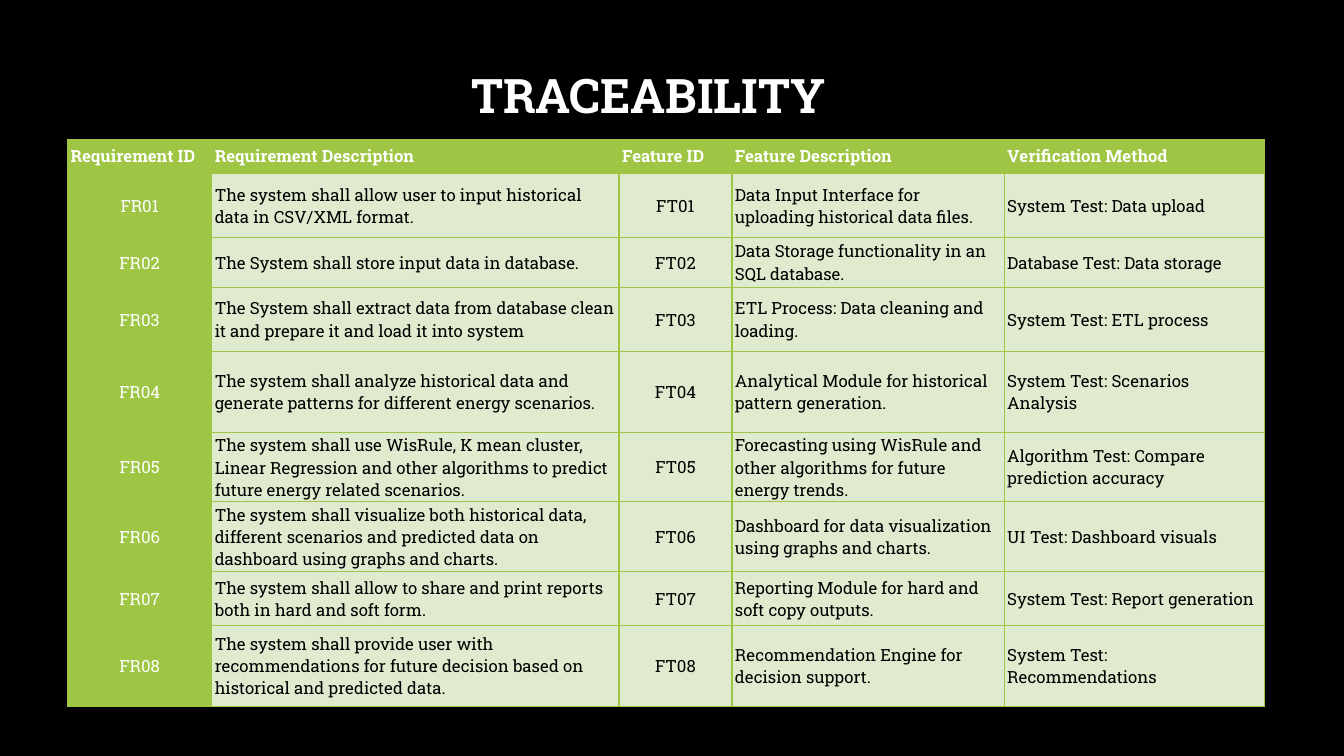
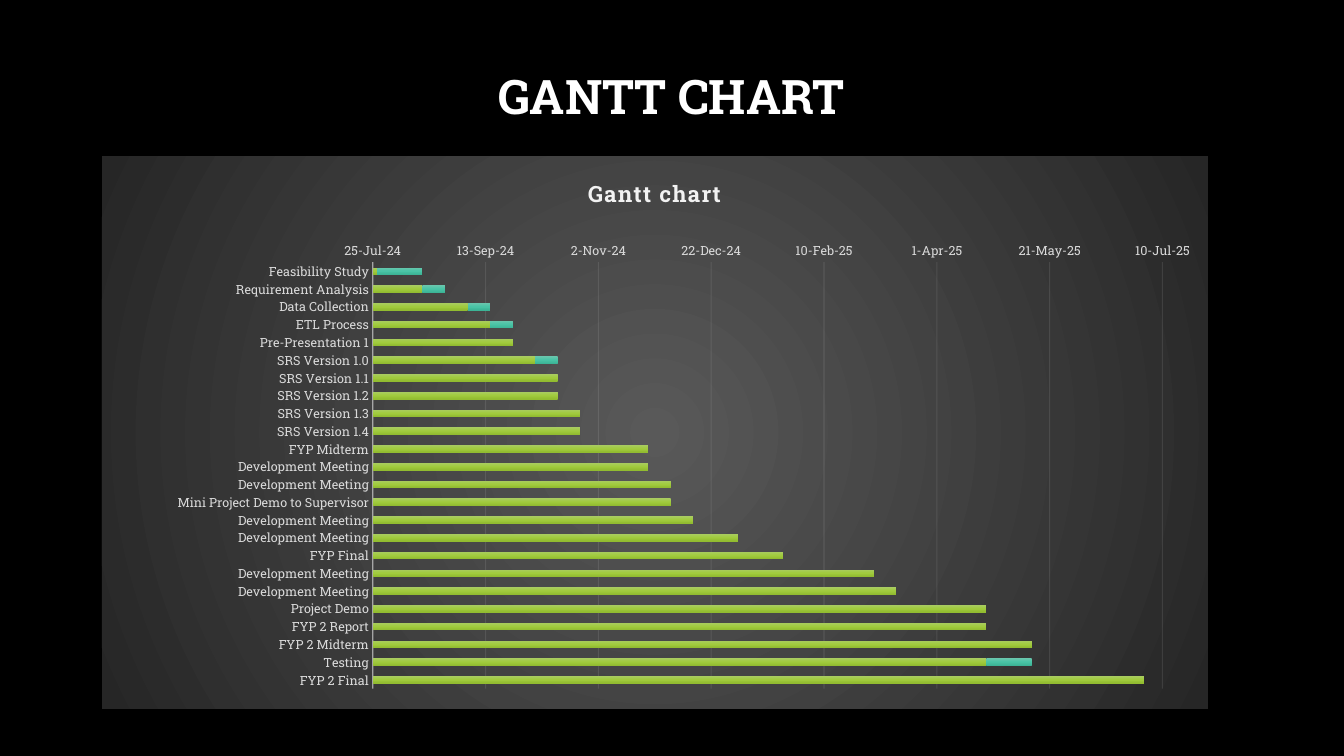
from dataclasses import dataclass

from pptx import Presentation
from pptx.chart.data import CategoryChartData
from pptx.dml.color import RGBColor
from pptx.enum.chart import XL_CHART_TYPE, XL_TICK_MARK
from pptx.enum.text import MSO_ANCHOR, PP_ALIGN
from pptx.oxml import parse_xml
from pptx.oxml.ns import nsdecls, qn
from pptx.util import Inches, Pt

BAR_STACKED = XL_CHART_TYPE.BAR_STACKED
NO_TICK = XL_TICK_MARK.NONE
MIDDLE = MSO_ANCHOR.MIDDLE
LEFT, CENTER = PP_ALIGN.LEFT, PP_ALIGN.CENTER


@dataclass(frozen=True)
class Theme:
    """Colours, font and type sizes shared by the slides."""

    font: str = "Roboto Slab"
    background: str = "000000"
    light: str = "FFFFFF"
    dark: str = "000000"
    accent: str = "9EC544"
    pale: str = "DFEACF"
    axis_text: str = "D9D9D9"
    axis_line: str = "F2F2F2"
    panel: tuple = ((0, "595959"), (100, "262626"))
    start_bar: tuple = ((0, "A9CC61"), (50, "A1CB3E"), (100, "92BC30"))
    duration_bar: tuple = ((0, "69C6AD"), (50, "4AC4A6"), (100, "3CB496"))
    title_size: int = 34
    table_size: int = 12
    chart_title_size: int = 16
    chart_size: int = 10
    axis_size: int = 9


THEME = Theme()

COLUMN_WIDTHS = (1.43, 4.04, 1.12, 2.7, 2.58)
ROW_HEIGHTS = (0.34, 0.64, 0.49, 0.64, 0.8, 0.69, 0.69, 0.54, 0.8)
CENTERED_COLUMNS = (0, 2)
HEADINGS = ("Requirement ID", "Requirement Description", "Feature ID",
            "Feature Description", "Verification Method")
REQUIREMENTS = (
    ("The system shall allow user to input historical data in CSV/XML format.",
     "Data Input Interface for uploading historical data files.",
     "System Test: Data upload"),
    ("The System shall store input data in database.",
     "Data Storage functionality in an SQL database.",
     "Database Test: Data storage"),
    ("The System shall extract data from database clean it and prepare it "
     "and load it into system",
     "ETL Process: Data cleaning and loading.",
     "System Test: ETL process"),
    ("The system shall analyze historical data and generate patterns for "
     "different energy scenarios.",
     "Analytical Module for historical pattern generation.",
     "System Test: Scenarios Analysis"),
    ("The system shall use WisRule, K mean cluster, Linear Regression and "
     "other algorithms to predict future energy related scenarios.",
     "Forecasting using WisRule and other algorithms for future energy trends.",
     "Algorithm Test: Compare prediction accuracy"),
    ("The system shall visualize both historical data, different scenarios "
     "and predicted data on dashboard using graphs and charts.",
     "Dashboard for data visualization using graphs and charts.",
     "UI Test: Dashboard visuals"),
    ("The system shall allow to share and print reports both in hard and "
     "soft form.",
     "Reporting Module for hard and soft copy outputs.",
     "System Test: Report generation"),
    ("The system shall provide user with recommendations for future decision "
     "based on historical and predicted data.",
     "Recommendation Engine for decision support.",
     "System Test: Recommendations"),
)

FIRST_DAY, LAST_DAY, DAY_STEP = 45498, 45848, 50
TASKS = (
    ("Feasibility Study", 45500, 20),
    ("Requirement Analysis", 45520, 10),
    ("Data Collection", 45540, 10),
    ("ETL Process", 45550, 10),
    ("Pre-Presentation 1", 45560, 0),
    ("SRS Version 1.0", 45570, 10),
    ("SRS Version 1.1", 45580, 0),
    ("SRS Version 1.2", 45580, 0),
    ("SRS Version 1.3", 45590, 0),
    ("SRS Version 1.4", 45590, 0),
    ("FYP Midterm", 45620, 0),
    ("Development Meeting", 45620, 0),
    ("Development Meeting", 45630, 0),
    ("Mini Project Demo to Supervisor", 45630, 0),
    ("Development Meeting", 45640, 0),
    ("Development Meeting", 45660, 0),
    ("FYP Final", 45680, 0),
    ("Development Meeting", 45720, 0),
    ("Development Meeting", 45730, 0),
    ("Project Demo", 45770, 0),
    ("FYP 2 Report", 45770, 0),
    ("FYP 2 Midterm", 45790, 0),
    ("Testing", 45770, 20),
    ("FYP 2 Final", 45840, 0),
)


def apply_format(target, **values):
    """Set each named attribute on the target."""
    for name, value in values.items():
        setattr(target, name, value)


def style_font(font, size, color, bold=False):
    """Give a font the theme typeface, a size, a colour and a weight."""
    apply_format(font, name=THEME.font, size=Pt(size), bold=bold)
    font.color.rgb = RGBColor.from_string(color)


def add_slide(deck, heading, left, top):
    """Add a dark slide with its centred heading."""
    slide = deck.slides.add_slide(deck.slide_layouts[6])
    slide.background.fill.solid()
    slide.background.fill.fore_color.rgb = RGBColor.from_string(THEME.background)
    frame = slide.shapes.add_textbox(
        Inches(left), Inches(top), Inches(11.32), Inches(1.45)).text_frame
    apply_format(frame, word_wrap=True, vertical_anchor=MIDDLE)
    paragraph = frame.paragraphs[0]
    apply_format(paragraph, text=heading, alignment=CENTER, line_spacing=0.9)
    style_font(paragraph.runs[0].font, THEME.title_size, THEME.light, True)
    return slide


def add_borders(cell):
    """Draw accent lines on the four sides of a cell."""
    properties = cell._tc.get_or_add_tcPr()
    for index, side in enumerate(("lnL", "lnR", "lnT", "lnB")):
        properties.insert(index, parse_xml(
            f'<a:{side} {nsdecls("a")} w="12700"><a:solidFill>'
            f'<a:srgbClr val="{THEME.accent}"/></a:solidFill></a:{side}>'))


def fill_cell(cell, text, fill, color, bold, alignment):
    """Write and format one table cell."""
    apply_format(cell, text=text, vertical_anchor=MIDDLE,
                 margin_left=Inches(0.03), margin_right=Inches(0.03),
                 margin_top=Inches(0.02), margin_bottom=Inches(0.02))
    cell.fill.solid()
    cell.fill.fore_color.rgb = RGBColor.from_string(fill)
    paragraph = cell.text_frame.paragraphs[0]
    paragraph.alignment = alignment
    style_font(paragraph.runs[0].font, THEME.table_size, color, bold)
    add_borders(cell)


def add_traceability_table(slide):
    """Add the table that links requirements to features."""
    rows = [HEADINGS] + [
        (f"FR{number:02}", requirement, f"FT{number:02}", feature, test)
        for number, (requirement, feature, test) in enumerate(REQUIREMENTS, 1)]
    table = slide.shapes.add_table(
        len(rows), len(HEADINGS), Inches(0.67), Inches(1.38),
        Inches(sum(COLUMN_WIDTHS)), Inches(sum(ROW_HEIGHTS))).table
    apply_format(table, first_row=False, horz_banding=False)
    for column, width in zip(table.columns, COLUMN_WIDTHS):
        column.width = Inches(width)
    for row, height in zip(table.rows, ROW_HEIGHTS):
        row.height = Inches(height)
    for r, texts in enumerate(rows):
        for c, text in enumerate(texts):
            is_heading = r == 0
            on_accent = is_heading or c == 0
            centered = c in CENTERED_COLUMNS and not is_heading
            fill_cell(table.cell(r, c), text,
                      THEME.accent if on_accent else THEME.pale,
                      THEME.light if on_accent else THEME.dark,
                      is_heading, CENTER if centered else LEFT)


def gradient(stops, direction):
    """Build a gradient fill from percent and colour pairs."""
    marks = "".join(
        f'<a:gs pos="{percent * 1000}"><a:srgbClr val="{color}"/></a:gs>'
        for percent, color in stops)
    return parse_xml(f'<a:gradFill {nsdecls("a")} rotWithShape="1">'
                     f'<a:gsLst>{marks}</a:gsLst>{direction}</a:gradFill>')


def set_layout(parent, index, **values):
    """Place a chart part by fractions of the chart area."""
    for old in parent.findall(qn("c:layout")):
        parent.remove(old)
    entries = "".join(f'<c:{name} val="{value}"/>' for name, value in values.items())
    parent.insert(index, parse_xml(
        f'<c:layout {nsdecls("c")}><c:manualLayout>{entries}'
        '</c:manualLayout></c:layout>'))


def style_line(line, width, color):
    """Give a chart line its width and colour."""
    line.width = Pt(width)
    line.color.rgb = RGBColor.from_string(color)


def set_opacity(chart, query, percent):
    """Set the opacity of the colours that a query finds."""
    for color in chart.element.xpath(query):
        color.append(parse_xml(
            f'<a:alpha {nsdecls("a")} val="{percent * 1000}"/>'))


def style_axes(chart):
    """Format the task axis and the date axis."""
    tasks, dates = chart.category_axis, chart.value_axis
    for axis in (tasks, dates):
        apply_format(axis, major_tick_mark=NO_TICK, minor_tick_mark=NO_TICK)
        style_font(axis.tick_labels.font, THEME.axis_size, THEME.axis_text)
    tasks.reverse_order = True
    style_line(tasks.format.line, 1, THEME.axis_line)
    apply_format(dates, minimum_scale=FIRST_DAY, maximum_scale=LAST_DAY,
                 major_unit=DAY_STEP, has_major_gridlines=True)
    apply_format(dates.tick_labels, number_format="[$-409]d-mmm-yy;@",
                 number_format_is_linked=False)
    dates.format.line.fill.background()
    style_line(dates.major_gridlines.format.line, 0.75, THEME.axis_line)
    set_opacity(chart, ".//c:catAx/c:spPr//a:srgbClr", 54)
    set_opacity(chart, ".//c:majorGridlines/c:spPr//a:srgbClr", 10)


def style_chart_title(chart, text):
    """Write the chart title and place it."""
    chart.has_title = True
    paragraph = chart.chart_title.text_frame.paragraphs[0]
    run = paragraph.add_run()
    run.text = text
    style_font(run.font, THEME.chart_title_size, THEME.axis_line, True)
    title = chart.element.find(".//" + qn("c:title"))
    title.find(".//" + qn("a:rPr")).set("spc", "100")
    set_layout(title, 1, xMode="edge", yMode="edge", x=0.436, y=0.029)


def add_gantt_chart(slide):
    """Add the stacked bars of task starts and durations."""
    names, starts, durations = zip(*TASKS)
    schedule = CategoryChartData()
    schedule.categories = names
    schedule.add_series("Series 1", starts)
    schedule.add_series("Series 2", durations)
    chart = slide.shapes.add_chart(
        BAR_STACKED, Inches(1.01), Inches(1.55), Inches(10.97), Inches(5.48),
        schedule).chart
    chart.has_legend = False
    style_font(chart.font, THEME.chart_size, THEME.light)
    apply_format(chart.plots[0], gap_width=150, overlap=100,
                 vary_by_categories=False)
    style_axes(chart)
    style_chart_title(chart, "Gantt chart")
    set_layout(chart.element.find(".//" + qn("c:plotArea")), 0,
               layoutTarget="inner", xMode="edge", yMode="edge",
               x=0.245, y=0.192, w=0.714, h=0.772)
    bars = chart.element.iter(qn("c:ser"))
    for series, stops in zip(bars, (THEME.start_bar, THEME.duration_bar)):
        series.get_or_add_spPr().append(
            gradient(stops, '<a:lin ang="5400000" scaled="0"/>'))
    panel = parse_xml(f'<c:spPr {nsdecls("c", "a")}><a:ln><a:noFill/></a:ln></c:spPr>')
    panel.insert(0, gradient(
        THEME.panel, '<a:path path="circle"><a:fillToRect l="50000" t="50000" '
                     'r="50000" b="50000"/></a:path>'))
    chart.element.find(qn("c:chart")).addnext(panel)


def main():
    """Build and save the two slides."""
    deck = Presentation()
    apply_format(deck, slide_width=Inches(13.33), slide_height=Inches(7.5))
    add_traceability_table(add_slide(deck, "TRACEABILITY", 0.77, 0.25))
    add_gantt_chart(add_slide(deck, "GANTT CHART", 1, 0.26))
    deck.save("out.pptx")


if __name__ == "__main__":
    main()
